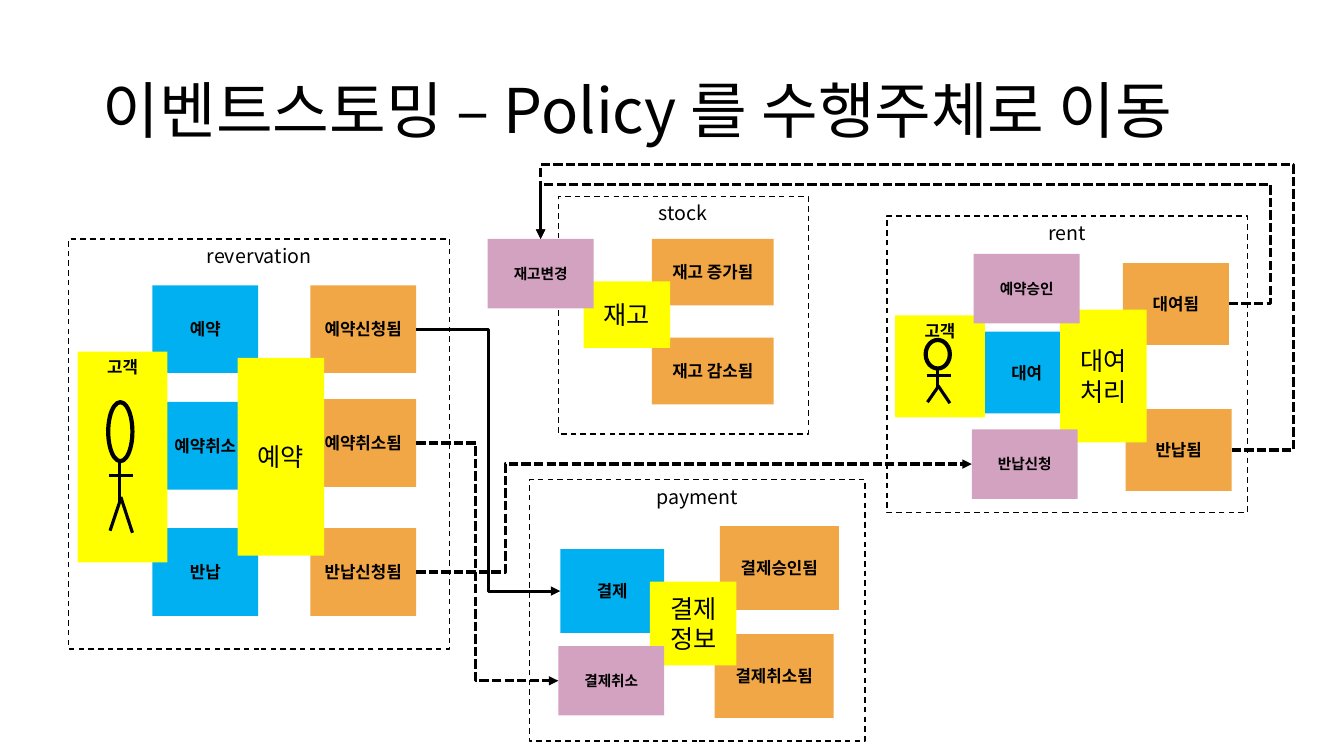
from dataclasses import dataclass

from lxml.etree import SubElement
from pptx import Presentation
from pptx.dml.color import RGBColor
from pptx.enum.dml import MSO_LINE
from pptx.enum.shapes import MSO_CONNECTOR, MSO_SHAPE
from pptx.enum.text import MSO_ANCHOR, MSO_AUTO_SIZE, PP_ALIGN
from pptx.oxml.ns import qn
from pptx.util import Cm, Pt


@dataclass(frozen=True)
class Theme:
    font: str = "Noto Sans CJK KR"
    ink: str = "000000"
    event: str = "F1A746"
    command: str = "00B0F0"
    policy: str = "D4A2C1"
    yellow: str = "FFFF00"
    title_size: float = 44
    aggregate_size: float = 18
    context_size: float = 14
    note_size: float = 12
    policy_size: float = 10.5


THEME = Theme()
RIGHT, LEFT, TOP = 3, 1, 0  # connection sites of a rectangle

# text, left, top, width, height in cm
EVENTS = [
    ("예약신청됨", 7.82, 7.19, 2.67, 2.21),
    ("예약취소됨", 7.82, 10.06, 2.67, 2.21),
    ("반납신청됨", 7.82, 13.31, 2.67, 2.21),
    ("결제승인됨", 18.14, 13.26, 3, 2.11),
    ("결제취소됨", 18.01, 15.98, 3, 2.11),
    ("대여됨", 28.3, 6.63, 2.67, 2.06),
    ("반납됨", 28.37, 10.31, 2.67, 2.06),
    ("재고 증가됨", 16.43, 6.02, 3.07, 1.68),
    ("재고 감소됨", 16.43, 8.51, 3.07, 1.68),
]
COMMANDS = [
    ("예약", 3.84, 7.19, 2.67, 2.21),
    ("예약취소", 3.84, 10.13, 2.67, 2.21),
    ("반납", 3.84, 13.31, 2.67, 2.21),
    ("결제", 14.12, 13.84, 2.62, 2.11),
    ("대여", 24.54, 8.36, 2.67, 2.06),
]
ACTORS = [
    ("고객", 1.96, 8.86, 2.26, 5.31),
    ("고객", 22.56, 7.95, 2.26, 2.57),
]
AGGREGATES = [
    ("예약", 5.99, 9.02, 2.18, 4.98),
    ("재고", 14.71, 7.09, 2.18, 1.68),
    ("결제\n정보", 16.38, 14.66, 2.18, 2.11),
    ("대여\n처리", 26.72, 7.8, 2.18, 3.35),
]
CONTEXTS = [
    ("revervation", 1.73, 6.02, 9.6, 10.34),
    ("stock", 14.07, 4.95, 6.3, 5.99),
    ("rent", 22.35, 5.44, 9.09, 7.47),
    ("payment", 13.34, 12.09, 8.46, 6.58),
]
POLICIES = [
    ("예약승인", 24.54, 6.4, 2.67, 1.75),
    ("결제취소", 14.07, 16.28, 2.67, 1.75),
    ("반납신청", 24.49, 10.82, 2.67, 1.75),
    ("재고변경", 12.29, 6.02, 2.67, 1.75),
]
# source, target, target site, dash, bend positions as fractions of the span
FLOWS = [
    ("예약신청됨", "결제", LEFT, None, [0.5]),
    ("예약취소됨", "결제취소", LEFT, MSO_LINE.SQUARE_DOT, [0.42]),
    ("반납신청됨", "반납신청", LEFT, MSO_LINE.SQUARE_DOT, [0.16]),
    ("대여됨", "재고변경", TOP, MSO_LINE.SQUARE_DOT, [-0.06, 1.84]),
    ("반납됨", "재고변경", TOP, MSO_LINE.SQUARE_DOT, [-0.09, 1.35]),
]
# arms, body and legs, as fractions of the actor note
LIMBS = [
    (0.35, 0.59, 0.62, 0.59),
    (0.47, 0.52, 0.47, 0.72),
    (0.47, 0.71, 0.36, 0.85),
    (0.48, 0.69, 0.61, 0.86),
]


def write(sp, text, size, bold=False, align=PP_ALIGN.CENTER,
          anchor=MSO_ANCHOR.MIDDLE, spacing=None):
    tf = sp.text_frame
    tf.word_wrap = True
    tf.auto_size = MSO_AUTO_SIZE.NONE
    tf.vertical_anchor = anchor
    tf.text = text
    for p in tf.paragraphs:
        p.alignment = align
        p.line_spacing = spacing
        for r in p.runs:
            r.font.size = Pt(size)
            r.font.bold = bold
            r.font.name = THEME.font
            r.font.color.rgb = RGBColor.from_string(THEME.ink)
            SubElement(r.font._element, qn("a:ea"), typeface=THEME.font)


def add_box(shapes, x, y, w, h, fill=None, line=None, dash=None,
            kind=MSO_SHAPE.RECTANGLE):
    sp = shapes.add_shape(kind, Cm(x), Cm(y), Cm(w), Cm(h))
    sp.shadow.inherit = False
    if fill:
        sp.fill.solid()
        sp.fill.fore_color.rgb = RGBColor.from_string(fill)
    else:
        sp.fill.background()
    if line:
        style_line(sp.line, line, dash)
    else:
        sp.line.fill.background()
    return sp


def style_line(line, width, dash=None):
    line.width = Pt(width)
    line.color.rgb = RGBColor.from_string(THEME.ink)
    if dash:
        line.dash_style = dash


def add_line(shapes, kind, x1, y1, x2, y2, dash=None):
    cn = shapes.add_connector(kind, x1, y1, x2, y2)
    style_line(cn.line, 2.25, dash)
    SubElement(cn._element.spPr, qn("a:effectLst"))
    return cn


def add_note(shapes, text, *box, fill, size=THEME.note_size, bold=True):
    sp = add_box(shapes, *box, fill=fill)
    write(sp, text, size, bold)
    return sp


def add_actor(shapes, text, x, y, w, h):
    """A yellow note with a stick figure scaled to it."""
    parts = shapes.add_group_shape().shapes
    note = add_box(parts, x, y, w, h, fill=THEME.yellow)
    write(note, text, THEME.note_size, bold=True, anchor=MSO_ANCHOR.TOP)
    add_box(parts, x + 0.34 * w, y + 0.24 * h, 0.27 * w, 0.28 * h,
            line=3, kind=MSO_SHAPE.OVAL)
    for x1, y1, x2, y2 in LIMBS:
        add_line(parts, MSO_CONNECTOR.STRAIGHT, Cm(x + x1 * w), Cm(y + y1 * h),
                 Cm(x + x2 * w), Cm(y + y2 * h))


def add_context(shapes, text, *box):
    sp = add_box(shapes, *box, line=1, dash=MSO_LINE.DASH)
    write(sp, text, THEME.context_size, anchor=MSO_ANCHOR.TOP)


def add_flow(shapes, source, target, site, dash, bends):
    """An elbow arrow glued from the right of source to a site of target."""
    end_x = target.left + (target.width // 2 if site == TOP else 0)
    end_y = target.top + (0 if site == TOP else target.height // 2)
    cn = add_line(shapes, MSO_CONNECTOR.ELBOW, source.left + source.width,
                  source.top + source.height // 2, end_x, end_y, dash)
    cn.begin_connect(source, RIGHT)
    cn.end_connect(target, site)
    geom = cn._element.spPr.find(qn("a:prstGeom"))
    geom.set("prst", f"bentConnector{len(bends) + 2}")
    guides = geom.find(qn("a:avLst"))
    for i, bend in enumerate(bends, 1):
        SubElement(guides, qn("a:gd"), name=f"adj{i}",
                   fmla=f"val {round(bend * 100000)}")
    SubElement(cn.line._get_or_add_ln(), qn("a:tailEnd"), type="triangle")


def add_title(s, text):
    sp = s.shapes.title
    sp.left, sp.top, sp.width, sp.height = Cm(2.34), Cm(1.02), Cm(30.18), Cm(3.68)
    write(sp, text, THEME.title_size, align=PP_ALIGN.LEFT, spacing=0.9)


def main():
    prs = Presentation()
    prs.slide_width, prs.slide_height = Cm(33.87), Cm(19.05)
    s = prs.slides.add_slide(prs.slide_layouts[5])
    shapes = s.shapes
    add_title(s, "이벤트스토밍 – Policy 를 수행주체로 이동")

    notes = {}
    for rows, fill in ((EVENTS, THEME.event), (COMMANDS, THEME.command)):
        for text, *box in rows:
            notes[text] = add_note(shapes, text, *box, fill=fill)
    for actor in ACTORS:
        add_actor(shapes, *actor)
    for aggregate in AGGREGATES:
        add_note(shapes, *aggregate, fill=THEME.yellow,
                 size=THEME.aggregate_size, bold=False)
    for context in CONTEXTS:
        add_context(shapes, *context)
    for text, *box in POLICIES:
        notes[text] = add_note(shapes, text, *box, fill=THEME.policy,
                               size=THEME.policy_size)
    for source, target, *route in FLOWS:
        add_flow(shapes, notes[source], notes[target], *route)
    prs.save("out.pptx")


if __name__ == "__main__":
    main()
